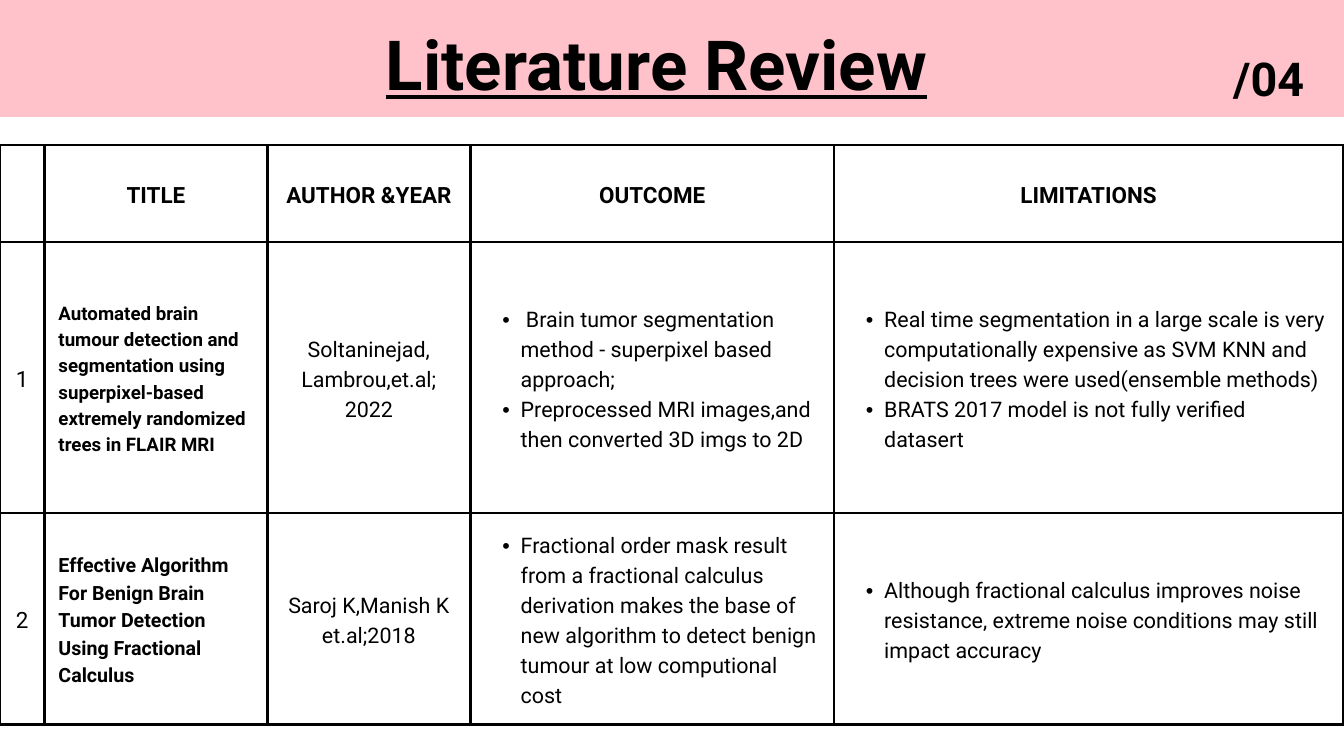
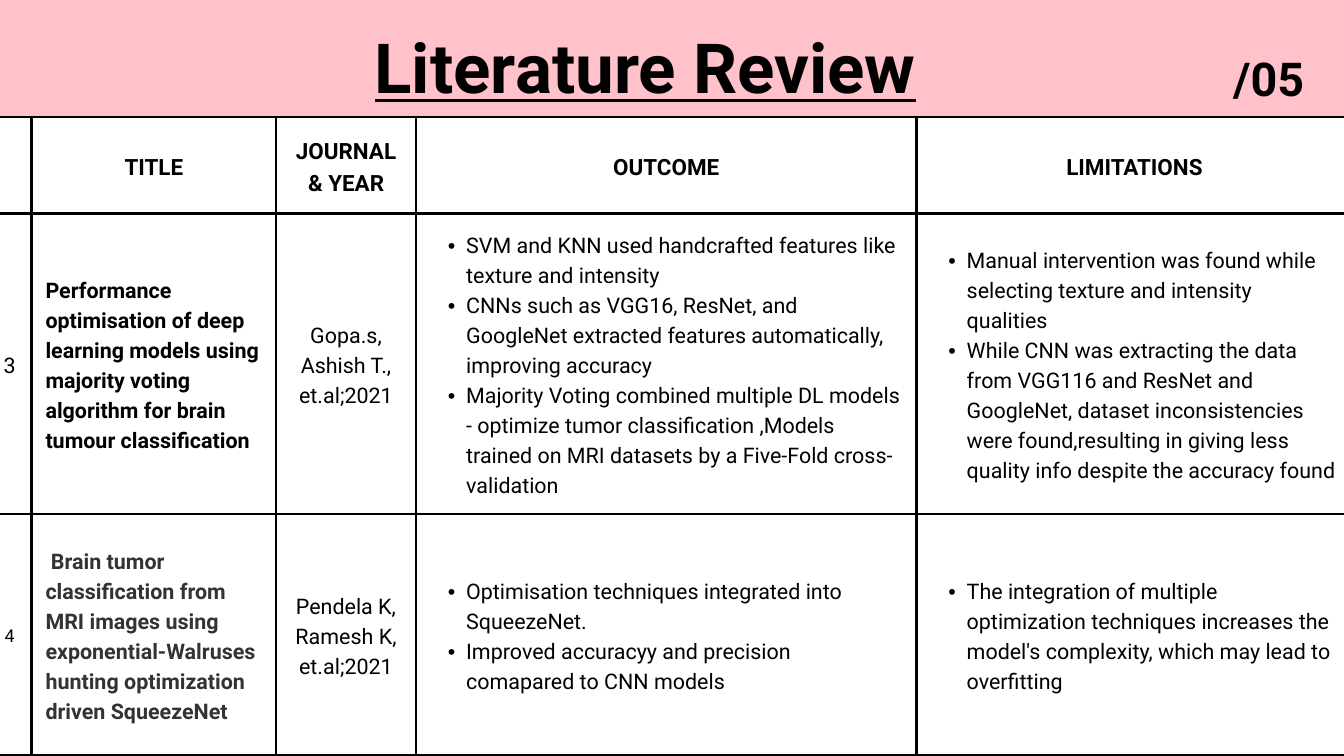
from dataclasses import dataclass

from lxml.etree import SubElement
from pptx import Presentation
from pptx.dml.color import RGBColor
from pptx.enum.shapes import MSO_SHAPE
from pptx.enum.text import MSO_ANCHOR, MSO_AUTO_SIZE, PP_ALIGN
from pptx.oxml.ns import qn
from pptx.slide import Slide
from pptx.table import _Cell
from pptx.text.text import _Paragraph
from pptx.util import Cm, Pt

PINK = RGBColor(0xFF, 0xC2, 0xCA)
BLACK = RGBColor(0x00, 0x00, 0x00)
CHARCOAL = RGBColor(0x33, 0x33, 0x33)
FONT = "Roboto"
LEADING = 1.4
SLIDE_WIDTH, SLIDE_HEIGHT = 50.8, 28.58
BAND_HEIGHT = 4.42
CELL_MARGIN = 0.53
BORDER_WIDTH = 3
HEADER_SIZE = 24
BODY_SIZE = 23


@dataclass(frozen=True)
class Style:
    size: float
    bold: bool = False
    align: PP_ALIGN = PP_ALIGN.CENTER
    color: RGBColor = BLACK
    underline: bool = False
    bulleted: bool = False


HEADING = Style(74, bold=True, underline=True)
PAGE_NUMBER = Style(50, bold=True)
HEADER = Style(HEADER_SIZE, bold=True)
AUTHORS = Style(BODY_SIZE)
POINTS = Style(BODY_SIZE, align=PP_ALIGN.LEFT, bulleted=True)


@dataclass(frozen=True)
class Study:
    number: str
    title: str
    authors: list[str]
    outcomes: list[str]
    limitations: list[str]
    number_size: float = HEADER_SIZE
    title_size: float = BODY_SIZE
    title_color: RGBColor = BLACK

    def entries(self) -> list[tuple[list[str], Style]]:
        title_style = Style(self.title_size, True, PP_ALIGN.LEFT, self.title_color)
        return [
            ([self.number], Style(self.number_size)),
            ([self.title], title_style),
            (self.authors, AUTHORS),
            (self.outcomes, POINTS),
            (self.limitations, POINTS),
        ]


@dataclass(frozen=True)
class ReviewPage:
    number: str
    heading_left: float
    heading_top: float
    table_left: float
    table_top: float
    column_widths: list[float]
    row_heights: list[float]
    source_header: str
    studies: list[Study]

    def headers(self) -> list[str]:
        return ["", "TITLE", self.source_header, "OUTCOME", "LIMITATIONS"]


REVIEW_PAGES = [
    ReviewPage(
        number="/04",
        heading_left=10.01,
        heading_top=0.28,
        table_left=0,
        table_top=5.49,
        column_widths=[1.68, 8.43, 7.67, 13.74, 19.25],
        row_heights=[3.66, 10.24, 8],
        source_header="AUTHOR &YEAR",
        studies=[
            Study(
                "1",
                "Automated brain tumour detection and segmentation using "
                "superpixel-based extremely randomized trees in FLAIR MRI",
                ["Soltaninejad,", "Lambrou,et.al;", "2022"],
                [
                    " Brain tumor segmentation method - superpixel based approach;",
                    "Preprocessed MRI images,and then converted 3D imgs to 2D",
                ],
                [
                    "Real time segmentation in a large scale is very computationally "
                    "expensive as SVM KNN and decision trees were used(ensemble methods)",
                    "BRATS 2017 model is not fully verified datasert",
                ],
                title_size=20,
            ),
            Study(
                "2",
                "Effective Algorithm For Benign Brain Tumor Detection "
                "Using Fractional Calculus",
                ["Saroj K,Manish K", "et.al;2018"],
                [
                    "Fractional order mask result from a fractional calculus "
                    "derivation makes the base of new algorithm to detect benign "
                    "tumour at low computional cost",
                ],
                [
                    "Although fractional calculus improves noise resistance, "
                    "extreme noise conditions may still impact accuracy",
                ],
                title_size=21,
            ),
        ],
    ),
    ReviewPage(
        number="/05",
        heading_left=9.58,
        heading_top=0.41,
        table_left=-0.46,
        table_top=BAND_HEIGHT,
        column_widths=[1.65, 9.25, 5.28, 18.92, 16.48],
        row_heights=[3.66, 11.35, 9.14],
        source_header="JOURNAL & YEAR",
        studies=[
            Study(
                "3",
                "Performance optimisation of deep learning models using "
                "majority voting algorithm for brain tumour classification",
                ["Gopa.s,", "Ashish T.,", "et.al;2021"],
                [
                    "SVM and KNN used handcrafted features like texture and intensity",
                    "CNNs such as VGG16, ResNet, and GoogleNet extracted features "
                    "automatically, improving accuracy",
                    "Majority Voting combined multiple DL models - optimize tumor "
                    "classification ,Models trained on MRI datasets by a Five-Fold "
                    "cross-validation",
                ],
                [
                    "Manual intervention was found while selecting texture and "
                    "intensity qualities",
                    "While CNN was extracting the data from VGG116 and ResNet and "
                    "GoogleNet, dataset inconsistencies were found,resulting in "
                    "giving less quality info despite the accuracy found",
                ],
                number_size=BODY_SIZE,
            ),
            Study(
                "4",
                " Brain tumor classification from MRI images using "
                "exponential-Walruses hunting optimization driven SqueezeNet",
                ["Pendela K,", "Ramesh K,", "et.al;2021"],
                [
                    "Optimisation techniques integrated into SqueezeNet.",
                    "Improved accuracyy and precision comapared to CNN models",
                ],
                [
                    "The integration of multiple optimization techniques increases "
                    "the model's complexity, which may lead to overfitting",
                ],
                number_size=19,
                title_color=CHARCOAL,
            ),
        ],
    ),
]


def add_bullet(para: _Paragraph) -> None:
    para.level = 1
    properties = para._p.get_or_add_pPr()
    properties.set("marL", str(Cm(1.37)))
    properties.set("indent", str(Cm(-0.69)))
    SubElement(properties, qn("a:buFont"), typeface="Arial")
    SubElement(properties, qn("a:buChar"), char="•")


def format_paragraph(para: _Paragraph, style: Style) -> None:
    para.alignment = style.align
    para.line_spacing = Pt(style.size * LEADING)
    if style.bulleted:
        add_bullet(para)
    for span in para.runs:
        span.font.name = FONT
        span.font.size = Pt(style.size)
        span.font.bold = style.bold
        span.font.underline = style.underline
        span.font.color.rgb = style.color


def add_label(page: Slide, text: str, style: Style, left: float, top: float,
              width: float, height: float) -> None:
    box = page.shapes.add_textbox(Cm(left), Cm(top), Cm(width), Cm(height))
    frame = box.text_frame
    frame.word_wrap = True
    frame.auto_size = MSO_AUTO_SIZE.SHAPE_TO_FIT_TEXT
    frame.margin_left = frame.margin_right = 0
    frame.margin_top = frame.margin_bottom = 0
    frame.text = text
    format_paragraph(frame.paragraphs[0], style)


def add_band(page: Slide) -> None:
    band = page.shapes.add_shape(
        MSO_SHAPE.RECTANGLE, 0, 0, Cm(SLIDE_WIDTH), Cm(BAND_HEIGHT))
    band.shadow.inherit = False
    band.fill.solid()
    band.fill.fore_color.rgb = PINK
    band.line.fill.background()


def add_borders(cell: _Cell) -> None:
    properties = cell._tc.get_or_add_tcPr()
    for side in ("lnL", "lnR", "lnT", "lnB"):
        line = SubElement(properties, qn(f"a:{side}"), w=str(Pt(BORDER_WIDTH)))
        fill = SubElement(line, qn("a:solidFill"))
        SubElement(fill, qn("a:srgbClr"), val=str(BLACK))


def fill_cell(cell: _Cell, lines: list[str], style: Style) -> None:
    add_borders(cell)
    cell.fill.background()
    cell.vertical_anchor = MSO_ANCHOR.MIDDLE
    cell.margin_left = cell.margin_right = Cm(CELL_MARGIN)
    cell.margin_top = cell.margin_bottom = Cm(CELL_MARGIN)
    cell.text_frame.text = "\n".join(lines)
    for para in cell.text_frame.paragraphs:
        format_paragraph(para, style)


def add_review_table(page: Slide, review: ReviewPage) -> None:
    widths, heights = review.column_widths, review.row_heights
    table = page.shapes.add_table(
        len(heights), len(widths), Cm(review.table_left), Cm(review.table_top),
        Cm(sum(widths)), Cm(sum(heights))).table
    table.first_row = False
    table.horz_banding = False
    for column, width in zip(table.columns, widths):
        column.width = Cm(width)
    header_row = [([header], HEADER) for header in review.headers()]
    entry_rows = [header_row] + [study.entries() for study in review.studies]
    for row, height, entries in zip(table.rows, heights, entry_rows):
        row.height = Cm(height)
        for cell, (lines, style) in zip(row.cells, entries):
            fill_cell(cell, lines, style)


def main() -> None:
    deck = Presentation()
    deck.slide_width, deck.slide_height = Cm(SLIDE_WIDTH), Cm(SLIDE_HEIGHT)
    for review in REVIEW_PAGES:
        page = deck.slides.add_slide(deck.slide_layouts[6])
        add_band(page)
        add_review_table(page, review)
        add_label(page, review.number, PAGE_NUMBER, 45.67, 1.52, 4.57, 2.39)
        add_label(page, "Literature Review", HEADING,
                  review.heading_left, review.heading_top, 29.62, 3.51)
    deck.save("out.pptx")


if __name__ == "__main__":
    main()
